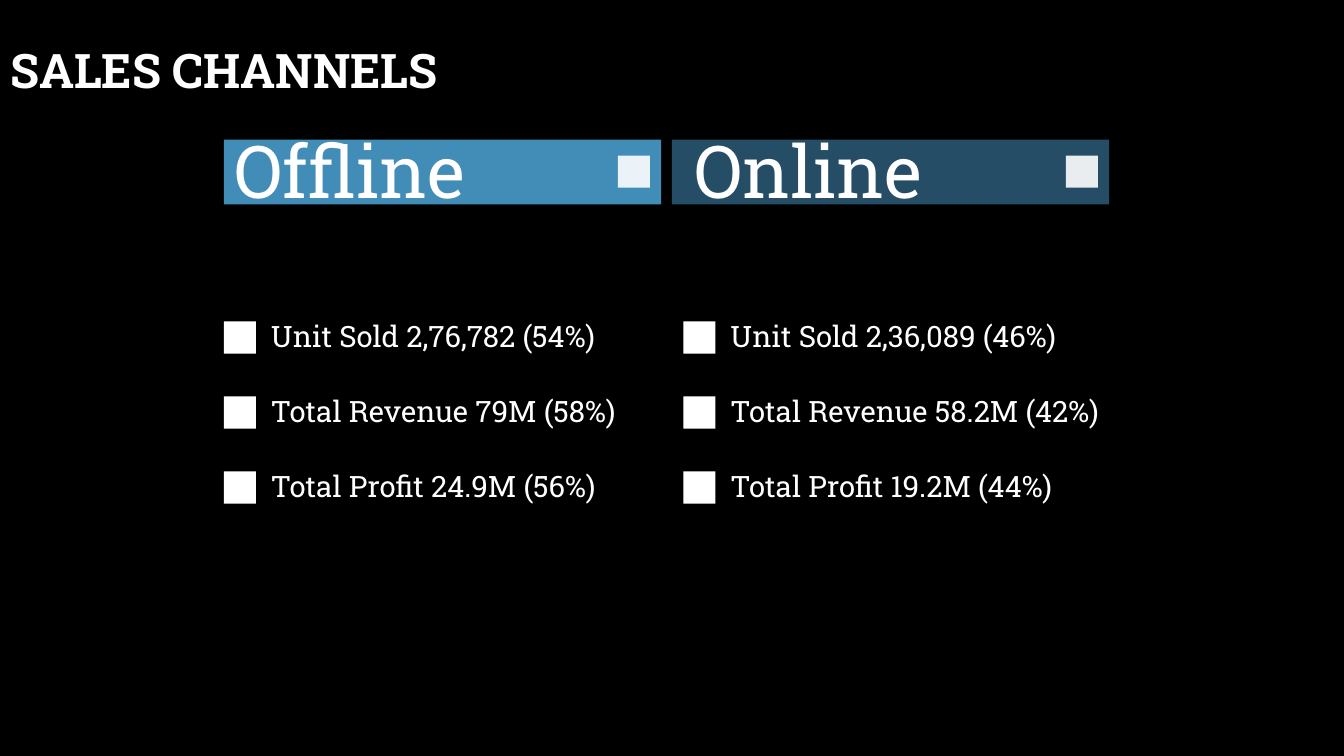
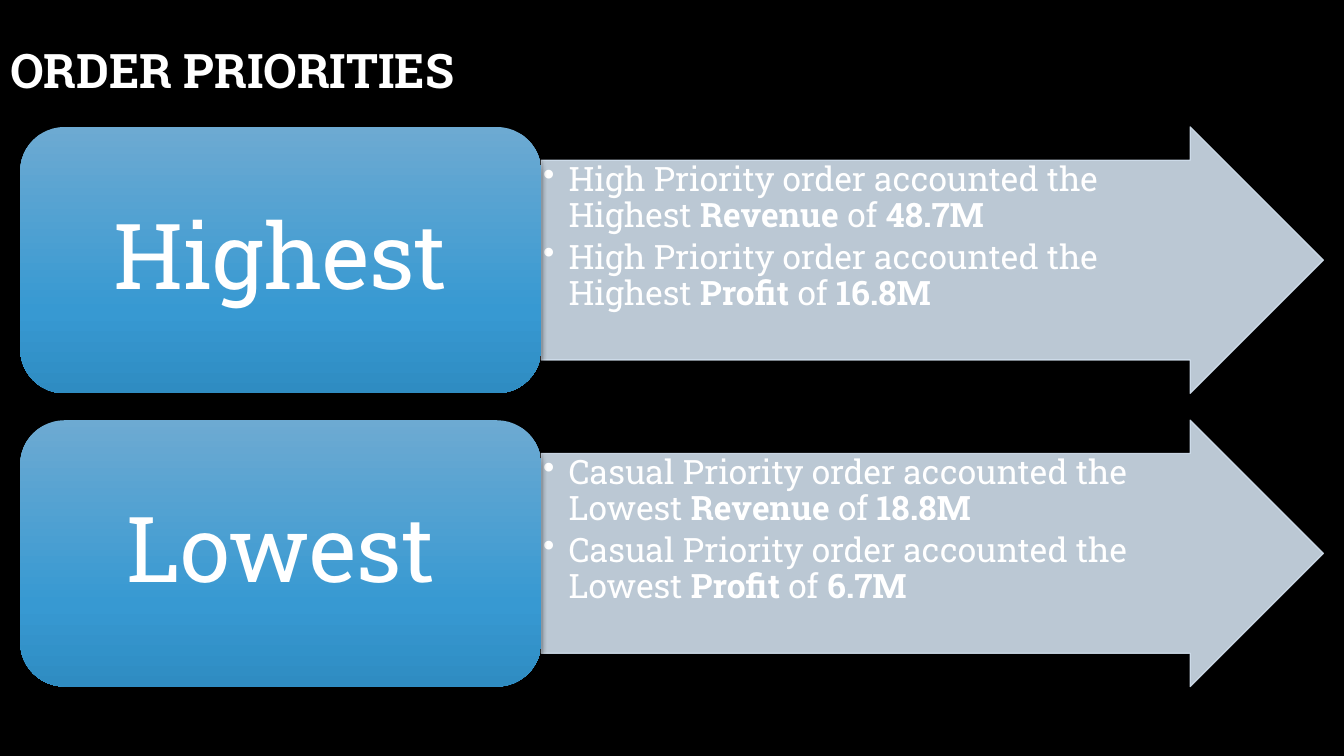
from copy import deepcopy
from dataclasses import dataclass

from lxml.etree import SubElement
from pptx import Presentation
from pptx.dml.color import RGBColor
from pptx.enum.shapes import MSO_SHAPE as Preset
from pptx.enum.text import MSO_ANCHOR as Anchor, MSO_AUTO_SIZE as AutoSize, PP_ALIGN as Align
from pptx.oxml.ns import qn
from pptx.util import Cm, Pt


@dataclass(frozen=True)
class Theme:
    font: str = "Roboto Slab"
    background: str = "000000"
    text: str = "FFFFFF"
    band: str = "4A9CCC"
    arrow: str = "D0DEEC"
    gradient: tuple = ((0, "6DAAD2"), (0.69, "3799D2"), (1, "2F8CC2"))
    title_size: int = 34
    band_size: int = 52
    item_size: int = 21
    detail_size: int = 24
    level_size: int = 65


THEME = Theme()
TITLE_ONLY = 5

# Column: band left, band opacity, text left, heading, items
CHANNELS = [
    (5.64, 90, 5.64, "Offline",
     ["Unit Sold 2,76,782 (54%)", "Total Revenue 79M (58%)", "Total Profit 24.9M (56%)"]),
    (16.93, 50, 17.22, "Online",
     ["Unit Sold 2,36,089 (46%)", "Total Revenue 58.2M (42%)", "Total Profit 19.2M (44%)"]),
]

# Level, order priority, (measure, value) pairs
PRIORITIES = [
    ("Highest", "High", [("Revenue", "48.7M"), ("Profit", "16.8M")]),
    ("Lowest", "Casual", [("Revenue", "18.8M"), ("Profit", "6.7M")]),
]


# Shared elements
def add_page(deck, title):
    page = deck.slides.add_slide(deck.slide_layouts[TITLE_ONLY])
    box = page.shapes.title
    box.left, box.top, box.width, box.height = Cm(0), Cm(0), Cm(28.75), Cm(3.68)
    box.text_frame.text = title
    box.text_frame.auto_size = AutoSize.NONE
    box.text_frame.vertical_anchor = Anchor.MIDDLE
    style_paragraph(box.text_frame.paragraphs[0], THEME.title_size, bold=True)
    return page


def style_paragraph(para, size, bold=None, align=Align.LEFT):
    para.alignment = align
    para.line_spacing = 0.9
    para.font.name = THEME.font
    para.font.size = Pt(size)
    para.font.bold = bold
    para.font.color.rgb = RGBColor.from_string(THEME.text)


def set_margins(frame, left, top, right, bottom):
    frame.margin_left, frame.margin_top = Cm(left), Cm(top)
    frame.margin_right, frame.margin_bottom = Cm(right), Cm(bottom)


def add_label(page, left, top, width, height, text, size, margin):
    frame = page.shapes.add_textbox(Cm(left), Cm(top), Cm(width), Cm(height)).text_frame
    frame.word_wrap = True
    frame.vertical_anchor = Anchor.MIDDLE
    set_margins(frame, margin, 0.18, margin, 0.18)
    frame.text = text
    style_paragraph(frame.paragraphs[0], size)


def add_preset(page, preset, left, top, width, height, color=None, opacity=100, outlined=False):
    shape = page.shapes.add_shape(preset, Cm(left), Cm(top), Cm(width), Cm(height))
    shape.shadow.inherit = False
    if color:
        shape.fill.solid()
        shape.fill.fore_color.rgb = RGBColor.from_string(color)
    if outlined:
        shape.line.color.rgb = RGBColor.from_string(color)
        shape.line.width = Pt(1)
    else:
        shape.line.fill.background()
    if opacity < 100:
        for paint in shape._element.spPr.iter(qn("a:srgbClr")):
            SubElement(paint, qn("a:alpha"), val=str(opacity * 1000))
    return shape


def fill_gradient(shape):
    shape.fill.gradient()
    shape.fill.gradient_angle = 270
    first = shape.fill.gradient_stops[0]._gs
    first.addnext(deepcopy(first))
    for stop, (position, color) in zip(shape.fill.gradient_stops, THEME.gradient):
        stop.position = position
        stop.color.rgb = RGBColor.from_string(color)


def cast_shadow(shape):
    effects = shape._element.spPr.find(qn("a:effectLst"))
    shadow = SubElement(effects, qn("a:outerShdw"), blurRad=str(Pt(4)), dist=str(Pt(3)),
                        dir="5400000", rotWithShape="0")
    paint = SubElement(shadow, qn("a:srgbClr"), val="000000")
    SubElement(paint, qn("a:alpha"), val="54000")


def add_bullet(para, indent):
    properties = para._p.get_or_add_pPr()
    properties.set("marL", str(Cm(indent)))
    properties.set("indent", str(-Cm(indent)))
    SubElement(properties, qn("a:buChar"), char="•")


# Sales channels
def add_channel(page, band_left, opacity, text_left, heading, items):
    band_top, square, row_height = 3.52, 0.81, 1.87
    add_preset(page, Preset.RECTANGLE, band_left, band_top, 11.02, 1.63, THEME.band, opacity)
    add_preset(page, Preset.RECTANGLE, band_left + 9.93, band_top + 0.4, square, square,
               THEME.text, 90)
    add_label(page, text_left, 3.23, 11.02, 2.34, heading, THEME.band_size, 0.28)
    for row, item in enumerate(items):
        top = 8.1 + row * 1.89
        add_preset(page, Preset.RECTANGLE, text_left, top, square, square, THEME.text)
        add_label(page, text_left + 0.78, top + (square - row_height) / 2, 10.4, row_height,
                  item, THEME.item_size, 0.41)


# Order priorities
def add_priority(page, top, level, priority, results):
    height, box_left, box_width = 6.71, 0.51, 13.13
    arrow = add_preset(page, Preset.RIGHT_ARROW, box_left + box_width, top, 19.71, height,
                       THEME.arrow, 90, outlined=True)
    arrow.adjustments[0], arrow.adjustments[1] = 0.75, 0.5
    frame = arrow.text_frame
    frame.word_wrap = True
    frame.vertical_anchor = Anchor.TOP
    set_margins(frame, 0.05, 0.05, 1.73, 0.05)
    for number, (measure, value) in enumerate(results):
        para = frame.add_paragraph() if number else frame.paragraphs[0]
        style_paragraph(para, THEME.detail_size)
        para.space_after = Pt(4)
        add_bullet(para, 0.64)
        parts = [f"{priority} Priority order accounted the {level} ", measure, " of ", value]
        for position, text in enumerate(parts):
            span = para.add_run()
            span.text = text
            span.font.bold = position % 2 == 1

    box = add_preset(page, Preset.ROUNDED_RECTANGLE, box_left, top, box_width, height)
    fill_gradient(box)
    cast_shadow(box)
    box.text_frame.text = level
    box.text_frame.vertical_anchor = Anchor.MIDDLE
    style_paragraph(box.text_frame.paragraphs[0], THEME.level_size, align=Align.CENTER)


def main():
    deck = Presentation()
    deck.slide_width, deck.slide_height = Cm(33.87), Cm(19.05)
    backdrop = deck.slide_master.background.fill
    backdrop.solid()
    backdrop.fore_color.rgb = RGBColor.from_string(THEME.background)

    page = add_page(deck, "SALES CHANNELS")
    for channel in CHANNELS:
        add_channel(page, *channel)

    page = add_page(deck, "ORDER PRIORITIES")
    for row, priority in enumerate(PRIORITIES):
        add_priority(page, 3.2 + row * 7.39, *priority)

    deck.save("out.pptx")


if __name__ == "__main__":
    main()
